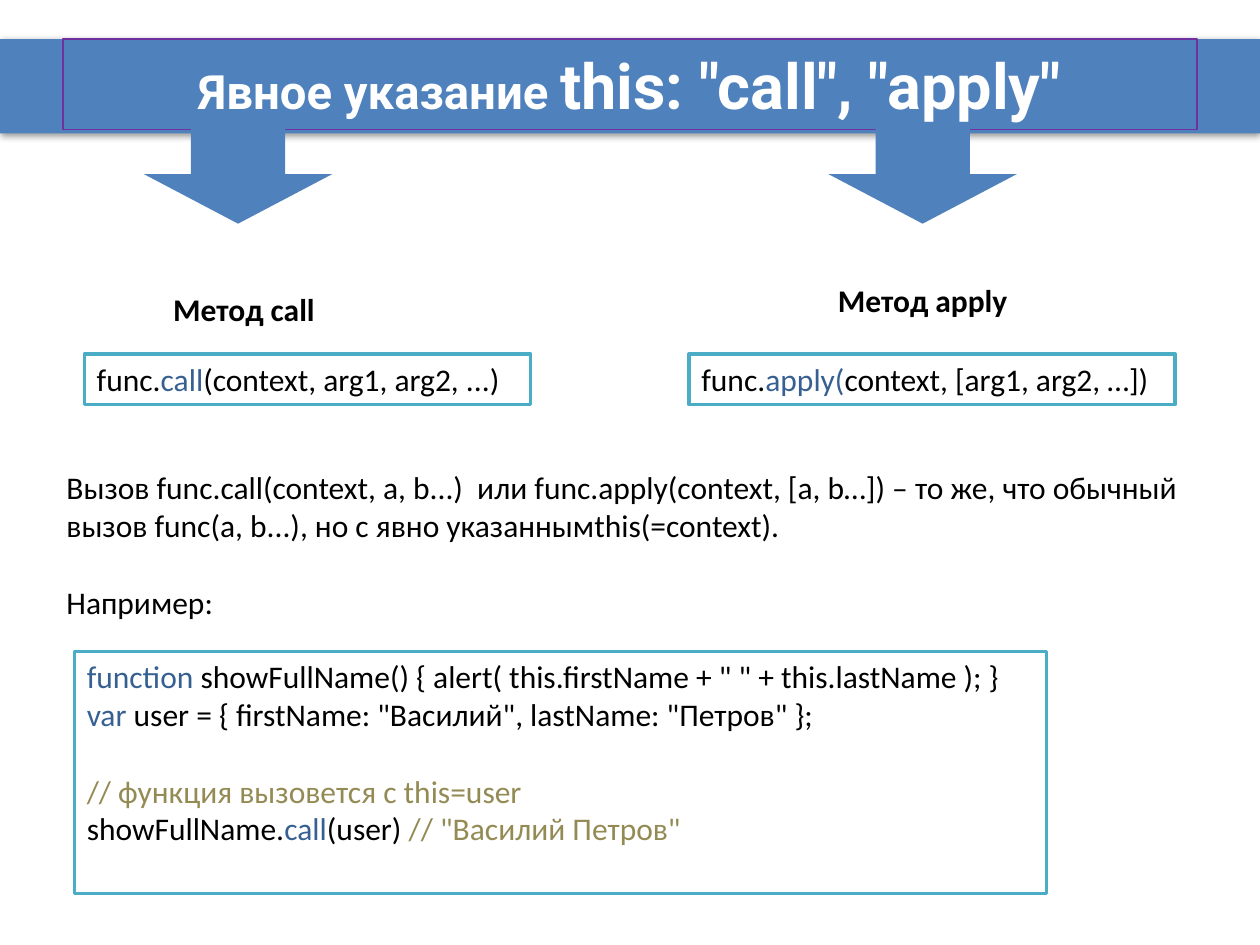
from dataclasses import dataclass
from lxml.etree import SubElement
from pptx import Presentation
from pptx.dml.color import RGBColor
from pptx.enum.shapes import MSO_SHAPE
from pptx.enum.text import MSO_ANCHOR, PP_ALIGN
from pptx.oxml.ns import qn
from pptx.util import Cm, Pt

HUES = {
    "blue": "4F81BD",
    "teal": "4BACC6",
    "plum": "7030A0",
    "word": "376092",
    "note": "948A54",
    "black": "000000",
    "white": "FFFFFF",
}
GAP = 22


@dataclass
class Line:
    runs: list[tuple[str, str]]
    gap: float = 0


@dataclass
class Block:
    left: float
    top: float
    width: float
    height: float
    lines: list[Line]
    framed: bool = False
    bold: bool = False
    indent: float = 0


BLOCKS = [
    Block(1.09, 5.72, 11.61, 1.02, [Line([("Метод call", "black")])],
          bold=True, indent=2.15),
    Block(14.1, 5.54, 10, 1.02, [Line([("Метод apply", "black")])],
          bold=True, indent=2.54),
    Block(1.7, 7.14, 9, 1.02, [Line([
        ("func.", "black"), ("call", "word"),
        ("(context, arg1, arg2, ...)", "black"),
    ])], framed=True),
    Block(13.89, 7.14, 9.8, 1.02, [Line([
        ("func.", "black"), ("apply(", "word"),
        ("context, [arg1, arg2, …])", "black"),
    ])], framed=True),
    Block(1.09, 9.32, 23.19, 6.4, [
        Line([("Вызов func.call(context, a, b...)  или func.apply(context, [a, b…])"
               " – то же, что обычный вызов func(a, b...), "
               "но с явно указаннымthis(=context).", "black")]),
        Line([("Например:", "black")], GAP),
    ]),
    Block(1.5, 13.13, 19.6, 4.88, [
        Line([("function ", "word"),
              ('showFullName() { alert( this.firstName + " " + this.lastName ); }',
               "black")]),
        Line([("var ", "word"),
              ('user = { firstName: "Василий", lastName: "Петров" };', "black")]),
        Line([("// функция вызовется с this=user", "note")], GAP),
        Line([("showFullName.", "black"), ("call", "word"),
              ("(user) ", "black"), ('// "Василий Петров"', "note")]),
    ], framed=True),
]


def tint(name: str) -> RGBColor:
    return RGBColor.from_string(HUES[name])


def write(para, text: str, *, size: float = 18, font: str = "Calibri",
          hue: str = "black", bold: bool = False) -> None:
    run = para.add_run()
    run.text = text
    run.font.size = Pt(size)
    run.font.name = font
    run.font.bold = bold
    run.font.color.rgb = tint(hue)


def draw(slide, kind, left: float, top: float, width: float, height: float,
         fill: str = "", edge: str = "", weight: float = 2):
    shape = slide.shapes.add_shape(kind, Cm(left), Cm(top), Cm(width), Cm(height))
    shape.shadow.inherit = False
    if fill:
        shape.fill.solid()
        shape.fill.fore_color.rgb = tint(fill)
    else:
        shape.fill.background()
    if edge:
        shape.line.color.rgb = tint(edge)
        shape.line.width = Pt(weight)
    else:
        shape.line.fill.background()
    return shape


def shade(shape) -> None:
    effects = shape.element.spPr.find(qn("a:effectLst"))
    outer = SubElement(effects, qn("a:outerShdw"), blurRad=str(Pt(4)),
                       dist=str(Pt(1)), dir="5400000", rotWithShape="0")
    color = SubElement(outer, qn("a:srgbClr"), val=HUES["black"])
    SubElement(color, qn("a:alpha"), val="40000")


def place(slide, block: Block) -> None:
    area = (block.left, block.top, block.width, block.height)
    if block.framed:
        shape = draw(slide, MSO_SHAPE.RECTANGLE, *area, fill="white", edge="teal")
    else:
        shape = slide.shapes.add_textbox(*map(Cm, area))
    frame = shape.text_frame
    frame.word_wrap = True
    frame.vertical_anchor = MSO_ANCHOR.TOP
    for count, line in enumerate(block.lines):
        para = frame.add_paragraph() if count else frame.paragraphs[0]
        para.alignment = PP_ALIGN.LEFT
        para.space_before = Pt(line.gap)
        if block.indent:
            para._p.get_or_add_pPr().set("marL", str(Cm(block.indent)))
        for text, hue in line.runs:
            write(para, text, hue=hue, bold=block.bold)


def head(slide) -> None:
    bar = draw(slide, MSO_SHAPE.RECTANGLE, 0, 0.79, 25.4, 1.9, fill="blue")
    shade(bar)
    title = draw(slide, MSO_SHAPE.RECTANGLE, 1.27, 0.79, 22.86, 1.82,
                 edge="plum", weight=0.75)
    frame = title.text_frame
    frame.word_wrap = True
    frame.vertical_anchor = MSO_ANCHOR.MIDDLE
    para = frame.paragraphs[0]
    para.alignment = PP_ALIGN.CENTER
    for text, size in (("Явное указание ", 27), ('this: "call", "apply"', 36)):
        write(para, text, size=size, font="Roboto", hue="white", bold=True)


def main() -> None:
    deck = Presentation()
    deck.slide_width, deck.slide_height = Cm(25.4), Cm(19.05)
    slide = deck.slides.add_slide(deck.slide_layouts[6])
    head(slide)
    for left in (2.9, 16.7):
        draw(slide, MSO_SHAPE.DOWN_ARROW, left, 2.51, 3.8, 2, fill="blue")
    for block in BLOCKS:
        place(slide, block)
    deck.save("out.pptx")


if __name__ == "__main__":
    main()
